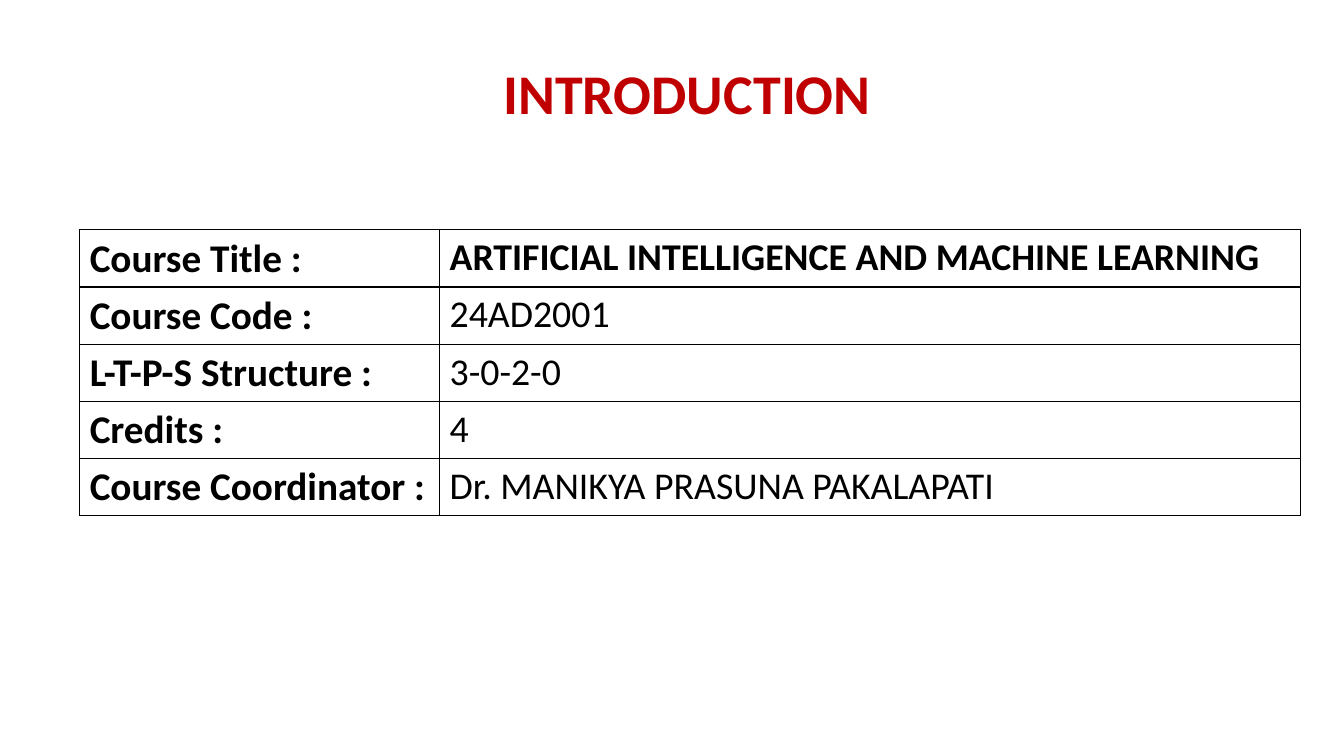
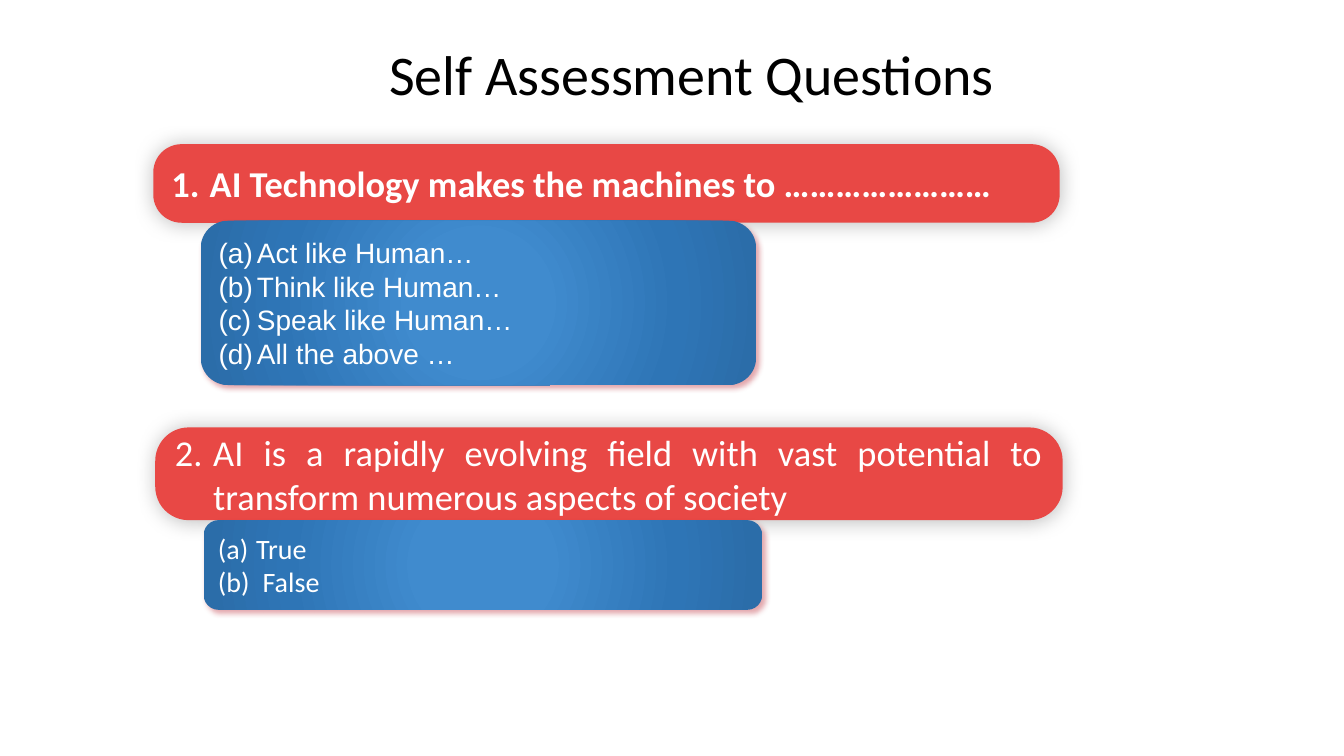
"""Build a course introduction slide and a self-assessment slide."""
from dataclasses import dataclass
from typing import Any, Optional

from lxml import etree
from pptx import Presentation, oxml, util as u
from pptx.dml.color import RGBColor
from pptx.enum import shapes, text
from pptx.oxml import ns


@dataclass(frozen=True)
class Theme:
    font: str = "Calibri"
    title_size: float = 40
    label_size: float = 28
    value_size: float = 27
    question_size: float = 26
    answer_size: float = 20
    black: str = "000000"
    white: str = "FFFFFF"
    title_red: str = "C00000"
    question_red: str = "E84845"
    answer_shadow: str = "BA2532"
    answer_stops: tuple = ((0, "408BCE"), (23, "408BCE"), (69, "2E75B6"), (97, "2B6DA9"))


@dataclass(frozen=True)
class Box:
    left: float
    top: float
    width: float
    height: float

    def lengths(self) -> list:
        """Return the box as lengths for a shape call."""
        return [u.Inches(side) for side in (self.left, self.top, self.width, self.height)]


@dataclass(frozen=True)
class Shadow:
    color: str
    opacity: int
    blur: float
    distance: float
    angle: int


@dataclass(frozen=True)
class Question:
    number: int
    wording: str
    box: Box
    answers: tuple
    answer_box: Box
    answer_font: str
    bold: bool = False
    align: Any = text.PP_ALIGN.LEFT


THEME = Theme()
HANGING = 0.38
QUESTION_SHADOW = Shadow(THEME.black, 25, 15, 0, 0)
ANSWER_SHADOW = Shadow(THEME.answer_shadow, 40, 4, 3, 45)

COURSE_BOX = Box(0.79, 2.28, 12.11, 2.83)
COURSE_COLUMNS = (3.57, 8.54)
COURSE_ROWS = (
    ("Course Title :", "ARTIFICIAL INTELLIGENCE AND MACHINE LEARNING"),
    ("Course Code :", "24AD2001"),
    ("L-T-P-S Structure :", "3-0-2-0"),
    ("Credits :", "4"),
    ("Course Coordinator :", "Dr. MANIKYA PRASUNA PAKALAPATI"),
)

QUESTIONS = (
    Question(1, "AI Technology makes the machines to ……………………",
             Box(1.52, 1.43, 8.99, 0.78),
             ("Act like Human…", "Think like Human…", "Speak like Human…", "All the above …"),
             Box(1.99, 2.19, 5.51, 1.63), "Arial", bold=True),
    Question(2, "AI is a rapidly evolving field with vast potential to "
                "transform numerous aspects of society",
             Box(1.54, 4.24, 9, 0.92), ("True", " False"),
             Box(2.02, 5.16, 5.54, 0.89), THEME.font, align=text.PP_ALIGN.JUSTIFY),
)


def write(frame: Any, *lines: str, size: float, color: str, font: str = THEME.font,
          bold: bool = False, align: Any = text.PP_ALIGN.LEFT, spacing: float = 1.0,
          numbering: Optional[str] = None, start: int = 1) -> None:
    """Write one paragraph per line in the given format."""
    frame.word_wrap = True
    for index, line in enumerate(lines):
        paragraph = frame.paragraphs[0] if index == 0 else frame.add_paragraph()
        paragraph.alignment = align
        paragraph.line_spacing = spacing
        if numbering:
            properties = paragraph._p.get_or_add_pPr()
            properties.set("marL", str(u.Inches(HANGING)))
            properties.set("indent", str(-u.Inches(HANGING)))
            bullet = etree.SubElement(properties, ns.qn("a:buAutoNum"), type=numbering)
            if start > 1:
                bullet.set("startAt", str(start))
        run = paragraph.add_run()
        run.text = line
        run.font.name = font
        run.font.size = u.Pt(size)
        run.font.bold = bold
        run.font.color.rgb = RGBColor.from_string(color)


def add_title(slide: Any, box: Box, wording: str, **style: Any) -> None:
    """Add a centred slide title."""
    frame = slide.shapes.add_textbox(*box.lengths()).text_frame
    write(frame, wording, size=THEME.title_size, align=text.PP_ALIGN.CENTER, **style)


def add_border(cell: Any) -> None:
    """Draw a thin line on all sides of a cell."""
    properties = cell._tc.get_or_add_tcPr()
    for side in ("lnL", "lnR", "lnT", "lnB"):
        properties.append(oxml.parse_xml(
            f'<a:{side} {ns.nsdecls("a")} w="{u.Pt(1)}"><a:solidFill>'
            f'<a:srgbClr val="{THEME.black}"/></a:solidFill></a:{side}>'))


def add_course_table(slide: Any) -> None:
    """Add the table of course details."""
    table = slide.shapes.add_table(
        len(COURSE_ROWS), len(COURSE_COLUMNS), *COURSE_BOX.lengths()).table
    table.first_row = table.horz_banding = False
    for column, width in zip(table.columns, COURSE_COLUMNS):
        column.width = u.Inches(width)
    for row_index, row in enumerate(COURSE_ROWS):
        for column_index, wording in enumerate(row):
            cell = table.cell(row_index, column_index)
            add_border(cell)
            cell.fill.background()
            is_label = column_index == 0
            write(cell.text_frame, wording, color=THEME.black,
                  size=THEME.label_size if is_label else THEME.value_size,
                  bold=is_label or row_index == 0)


def add_shadow(shape: Any, shadow: Shadow) -> None:
    """Give a shape an outer shadow."""
    shape.shadow.inherit = False
    shape._element.spPr.find(ns.qn("a:effectLst")).append(oxml.parse_xml(
        f'<a:outerShdw {ns.nsdecls("a")} blurRad="{u.Pt(shadow.blur)}" '
        f'dist="{u.Pt(shadow.distance)}" dir="{shadow.angle * 60000}" '
        f'algn="ctr" rotWithShape="0"><a:srgbClr val="{shadow.color}">'
        f'<a:alpha val="{shadow.opacity * 1000}"/></a:srgbClr></a:outerShdw>'))


def fill_radial(shape: Any, stops: tuple) -> None:
    """Fill a shape with a gradient that spreads from its centre."""
    shape.fill.background()
    properties = shape._element.spPr
    colors = "".join(f'<a:gs pos="{position * 1000}"><a:srgbClr val="{color}"/></a:gs>'
                     for position, color in stops)
    properties.replace(properties.find(ns.qn("a:noFill")), oxml.parse_xml(
        f'<a:gradFill {ns.nsdecls("a")} rotWithShape="1"><a:gsLst>{colors}</a:gsLst>'
        '<a:path path="circle"><a:fillToRect l="50000" t="50000" r="50000" b="50000"/>'
        '</a:path></a:gradFill>'))


def add_panel(slide: Any, box: Box, shadow: Shadow) -> Any:
    """Add a rounded panel without an outline."""
    shape = slide.shapes.add_shape(shapes.MSO_SHAPE.ROUNDED_RECTANGLE, *box.lengths())
    shape.line.fill.background()
    add_shadow(shape, shadow)
    shape.text_frame.vertical_anchor = text.MSO_ANCHOR.MIDDLE
    return shape


def add_question(slide: Any, question: Question) -> None:
    """Add a question panel and the answers below it."""
    panel = add_panel(slide, question.box, QUESTION_SHADOW)
    panel.adjustments[0] = 0.36
    panel.fill.solid()
    panel.fill.fore_color.rgb = RGBColor.from_string(THEME.question_red)
    write(panel.text_frame, question.wording, size=THEME.question_size, color=THEME.white,
          bold=question.bold, align=question.align,
          numbering="arabicPeriod", start=question.number)
    answers = add_panel(slide, question.answer_box, ANSWER_SHADOW)
    fill_radial(answers, THEME.answer_stops)
    write(answers.text_frame, *question.answers, size=THEME.answer_size, color=THEME.white,
          font=question.answer_font, numbering="alphaLcParenBoth")


def main() -> None:
    """Build and save the presentation."""
    presentation = Presentation()
    presentation.slide_width = u.Inches(13.33)
    presentation.slide_height = u.Inches(7.5)
    blank = presentation.slide_layouts[6]

    introduction = presentation.slides.add_slide(blank)
    add_title(introduction, Box(4.3, 0.53, 5.03, 0.77), "INTRODUCTION",
              color=THEME.title_red, bold=True)
    add_course_table(introduction)

    assessment = presentation.slides.add_slide(blank)
    add_title(assessment, Box(3.73, 0.42, 6.26, 0.71), "Self Assessment Questions",
              color=THEME.black, spacing=0.9)
    for question in QUESTIONS:
        add_question(assessment, question)

    presentation.save("out.pptx")


if __name__ == "__main__":
    main()
